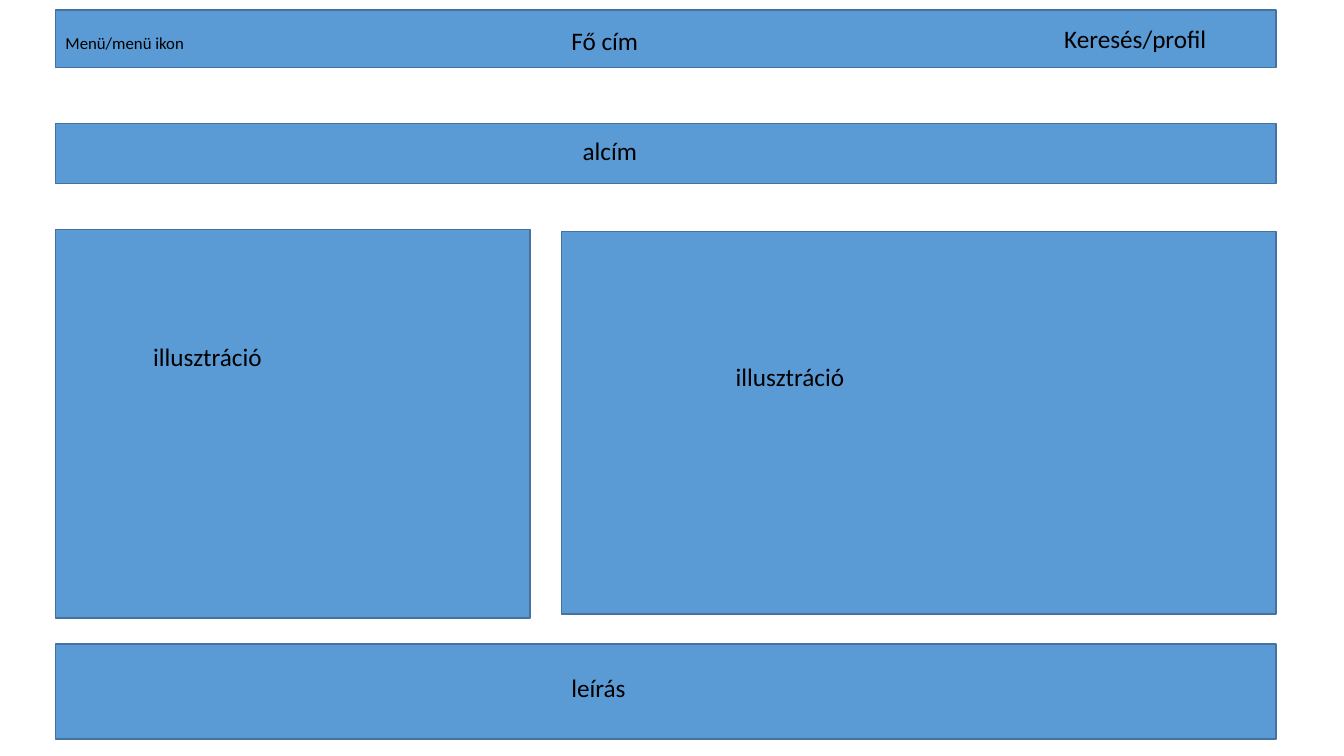
"""Build a page wireframe slide with labelled panels."""
from pptx import Presentation
from pptx.dml.color import RGBColor
from pptx.enum.shapes import MSO_SHAPE
from pptx.enum.text import MSO_AUTO_SIZE, PP_ALIGN
from pptx.util import Cm, Pt

RECTANGLE = MSO_SHAPE.RECTANGLE
GROW = MSO_AUTO_SIZE.SHAPE_TO_FIT_TEXT
LEFT, CENTER = PP_ALIGN.LEFT, PP_ALIGN.CENTER

PAGE_LEFT, PAGE_RIGHT = 1.4, 32.16
LEFT_COLUMN_END, RIGHT_COLUMN = 13.36, 14.15

PANELS = [
    (PAGE_LEFT, PAGE_RIGHT, 0.25, 1.45),
    (PAGE_LEFT, PAGE_RIGHT, 3.12, 1.5),
    (PAGE_LEFT, LEFT_COLUMN_END, 5.79, 9.78),
    (RIGHT_COLUMN, PAGE_RIGHT, 5.84, 9.63),
    (PAGE_LEFT, PAGE_RIGHT, 16.23, 2.39),
]
LABELS = [
    ("Menü/menü ikon", PAGE_LEFT, 0.69, 5.16, 12, LEFT),
    ("Keresés/profil", 26.57, 0.46, 7.29, 18, LEFT),
    ("Fő cím", RIGHT_COLUMN, 0.51, 7.06, 18, LEFT),
    ("alcím", 8.69, 3.28, 13.36, 18, CENTER),
    ("illusztráció", 3.61, 8.48, 5.99, 18, LEFT),
    ("illusztráció", 18.29, 8.99, 8.74, 18, LEFT),
    ("leírás", RIGHT_COLUMN, 16.81, 15.01, 18, LEFT),
]
LINE_HEIGHTS = {12: 0.77, 18: 1.03}


def color(value):
    return RGBColor.from_string(value)


def add_panel(slide, left, right, top, height):
    shape = slide.shapes.add_shape(RECTANGLE, Cm(left), Cm(top), Cm(right - left), Cm(height))
    shape.shadow.inherit = False
    shape.fill.solid()
    shape.fill.fore_color.rgb = color("5B9BD5")
    shape.line.color.rgb = color("43739E")
    shape.line.width = Pt(1)


def add_label(slide, text, left, top, width, size, alignment):
    height = LINE_HEIGHTS[size]
    frame = slide.shapes.add_textbox(Cm(left), Cm(top), Cm(width), Cm(height)).text_frame
    frame.word_wrap = True
    frame.auto_size = GROW
    paragraph = frame.paragraphs[0]
    paragraph.alignment = alignment
    run = paragraph.add_run()
    run.text = text
    for name, value in {"name": "Calibri", "size": Pt(size)}.items():
        setattr(run.font, name, value)
    run.font.color.rgb = color("000000")


presentation = Presentation()
presentation.slide_width, presentation.slide_height = Cm(33.87), Cm(19.05)
slide = presentation.slides.add_slide(presentation.slide_layouts[6])
for panel in PANELS:
    add_panel(slide, *panel)
for label in LABELS:
    add_label(slide, *label)
presentation.save("out.pptx")
